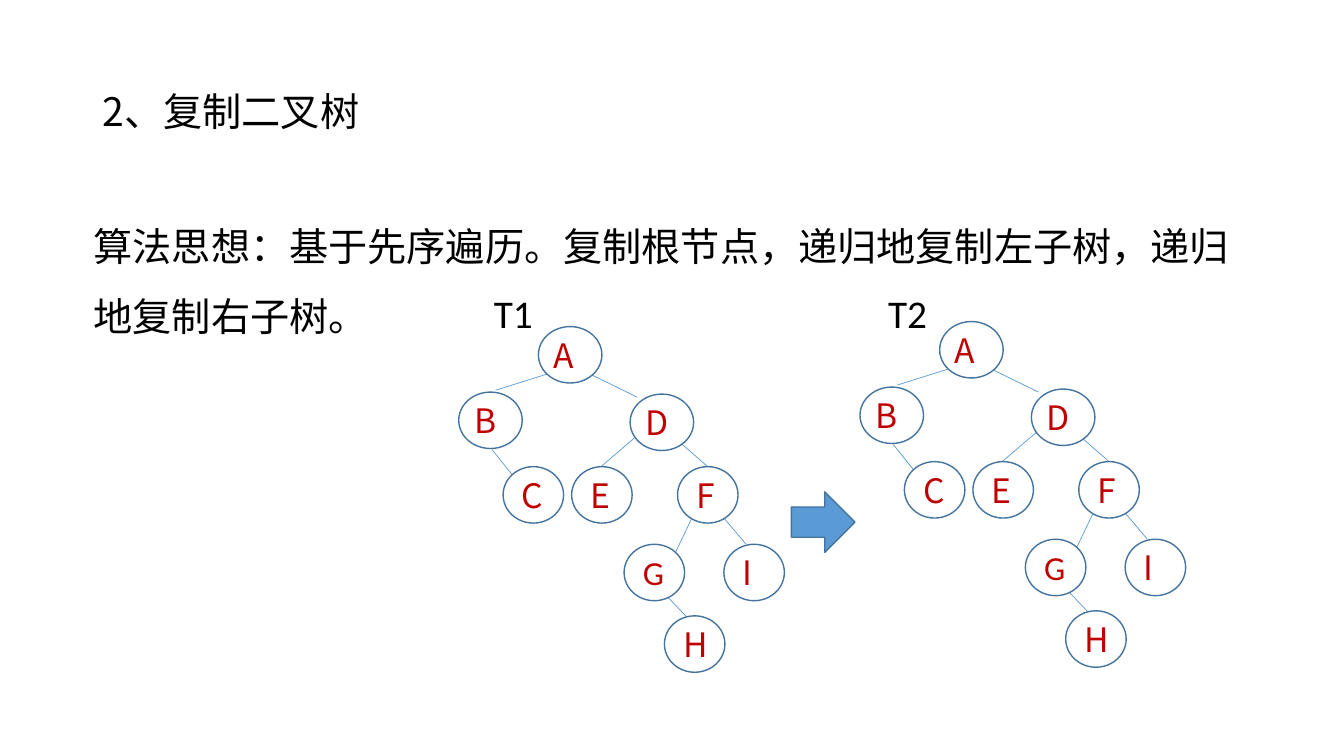
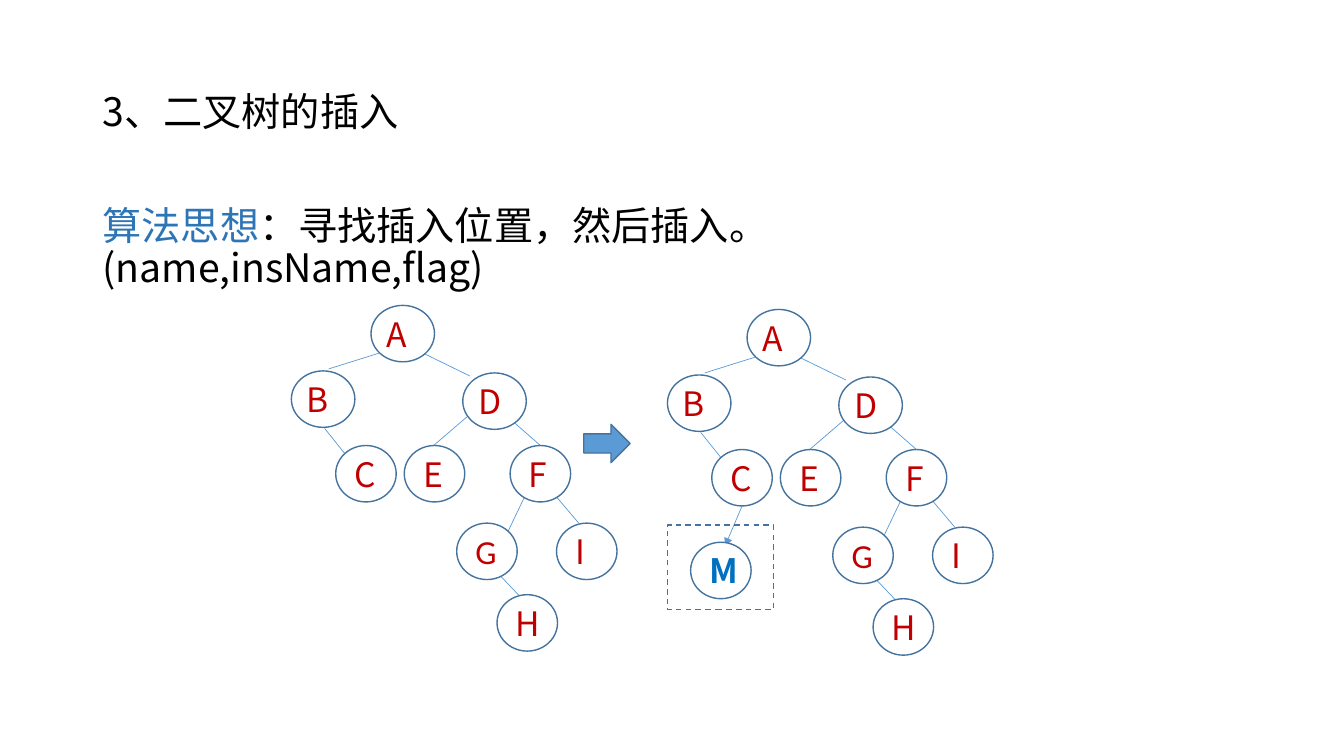
from lxml.etree import SubElement
from pptx import Presentation
from pptx.dml.color import RGBColor
from pptx.enum.dml import MSO_LINE
from pptx.enum.shapes import MSO_CONNECTOR, MSO_SHAPE as SHAPE
from pptx.enum.text import MSO_ANCHOR as ANCHOR, PP_ALIGN as ALIGN
from pptx.oxml.ns import qn
from pptx.util import Inches, Pt

CJK = "Noto Sans CJK SC"
LATIN = "Calibri"
BLACK, WHITE, RED = "000000", "FFFFFF", "C00000"
BLUE, OUTLINE, HEADING, INSERTED = "5B9BD5", "43739E", "2E75B6", "0070C0"

NODE_HEIGHT, NODE_WIDTH, WIDE_NODE = 0.56, 0.6, 0.63
WIDE_NAMES = "ABD"

# Offsets from the left of node B and the top of node A
NODES = {
    "A": (0.79, 0), "B": (0, 0.65), "C": (0.44, 1.39),
    "D": (1.7, 0.67), "E": (1.12, 1.39), "F": (2.17, 1.39),
    "G": (1.64, 2.16), "H": (2.04, 2.87), "I": (2.63, 2.16),
}
EDGES = {
    "AB": (0.88, 0.47, 0.37, 0.63), "AD": (1.32, 0.48, 1.77, 0.7),
    "BC": (0.33, 1.22, 0.53, 1.47), "DE": (1.83, 1.03, 1.41, 1.39),
    "DF": (2.15, 1.11, 2.47, 1.39), "FG": (2.36, 1.8, 2.15, 2.24),
    "FI": (2.63, 1.9, 2.85, 2.16), "GH": (2.07, 2.68, 2.26, 2.88),
}


def rgb(value):
    return RGBColor.from_string(value)


class TreeDeck:
    """Holds the shared style and the slide being drawn."""

    def __init__(self):
        self.deck = Presentation()
        self.deck.slide_width = Inches(13.33)
        self.deck.slide_height = Inches(7.5)
        self.page = None

    def new_page(self, title):
        self.page = self.deck.slides.add_slide(self.deck.slide_layouts[6])
        self.text(0.92, 0.4, 11.5, 1.45, [(title, BLACK)], anchor=ANCHOR.MIDDLE)

    def style(self, span, color, size, name=CJK, bold=False):
        span.font.size = Pt(size)
        span.font.name = name
        span.font.bold = bold
        span.font.color.rgb = rgb(color)
        props = span.font._element
        props.set("lang", "zh-CN")
        SubElement(props, qn("a:ea")).set("typeface", name)

    def text(self, left, top, width, height, parts, name=CJK, spacing=0.9,
             anchor=ANCHOR.TOP):
        """Add one paragraph made of (wording, colour) parts."""
        box = self.page.shapes.add_textbox(
            Inches(left), Inches(top), Inches(width), Inches(height))
        frame = box.text_frame
        frame.word_wrap = True
        frame.vertical_anchor = anchor
        para = frame.paragraphs[0]
        para.line_spacing = spacing
        for wording, color in parts:
            span = para.add_run()
            span.text = wording
            self.style(span, color, 28, name)

    def shape(self, kind, left, top, width, height, fill=None):
        shape = self.page.shapes.add_shape(
            kind, Inches(left), Inches(top), Inches(width), Inches(height))
        shape.shadow.inherit = False
        if fill:
            shape.fill.solid()
            shape.fill.fore_color.rgb = rgb(fill)
        else:
            shape.fill.background()
        shape.line.color.rgb = rgb(OUTLINE)
        shape.line.width = Pt(1)
        return shape

    def node(self, label, left, top, color=RED, bold=False):
        wide = label in WIDE_NAMES
        width = WIDE_NODE if wide else NODE_WIDTH
        node = self.shape(SHAPE.OVAL, left, top, width, NODE_HEIGHT, WHITE)
        frame = node.text_frame
        frame.text = label
        frame.vertical_anchor = ANCHOR.MIDDLE
        if wide:
            frame.margin_left = Inches(0.06)
        para = frame.paragraphs[0]
        para.alignment = ALIGN.JUSTIFY
        name = LATIN if label == "G" else CJK
        self.style(para.runs[0], color, 24, name, bold)

    def edge(self, x1, y1, x2, y2, arrow=False):
        edge = self.page.shapes.add_connector(
            MSO_CONNECTOR.STRAIGHT, Inches(x1), Inches(y1), Inches(x2), Inches(y2))
        edge.line.color.rgb = rgb(BLUE)
        edge.line.width = Pt(0.5)
        props = edge._element.spPr
        if arrow:
            SubElement(props.find(qn("a:ln")), qn("a:tailEnd")).set("type", "triangle")
        SubElement(props, qn("a:effectLst"))

    def tree(self, left, top):
        for x1, y1, x2, y2 in EDGES.values():
            self.edge(left + x1, top + y1, left + x2, top + y2)
        for label, (x, y) in NODES.items():
            self.node(label, left + x, top + y)

    def block_arrow(self, left, top, width, height):
        self.shape(SHAPE.RIGHT_ARROW, left, top, width, height, BLUE)

    def dashed_frame(self, left, top, width, height):
        frame = self.shape(SHAPE.RECTANGLE, left, top, width, height)
        frame.line.dash_style = MSO_LINE.DASH


def copy_page(show):
    show.new_page("2、复制二叉树")
    for label, left in (("T1", 4.8), ("T2", 8.71)):
        show.text(left, 2.87, 1, 0.64, [(label, BLACK)], LATIN)
    show.tree(4.55, 3.24)
    show.tree(8.53, 3.19)
    show.block_arrow(7.85, 4.88, 0.63, 0.6)
    idea = "算法思想：基于先序遍历。复制根节点，递归地复制左子树，递归地复制右子树。"
    show.text(0.83, 1.92, 11.58, 1.51, [(idea, BLACK)], spacing=1.5)


def insert_page(show):
    show.new_page("3、二叉树的插入")
    show.text(0.92, 2, 10.43, 0.81, [
        ("算法思想", HEADING),
        ("：寻找插入位置，然后插入。(name,insName,flag)", BLACK),
    ])
    show.tree(2.89, 3.03)
    show.tree(6.62, 3.07)
    show.edge(7.36, 5.02, 7.19, 5.42, arrow=True)
    show.node("M", 6.85, 5.38, INSERTED, bold=True)
    show.dashed_frame(6.62, 5.21, 1.05, 0.84)
    show.block_arrow(5.79, 4.21, 0.46, 0.38)


def main():
    show = TreeDeck()
    copy_page(show)
    insert_page(show)
    show.deck.save("out.pptx")


if __name__ == "__main__":
    main()
